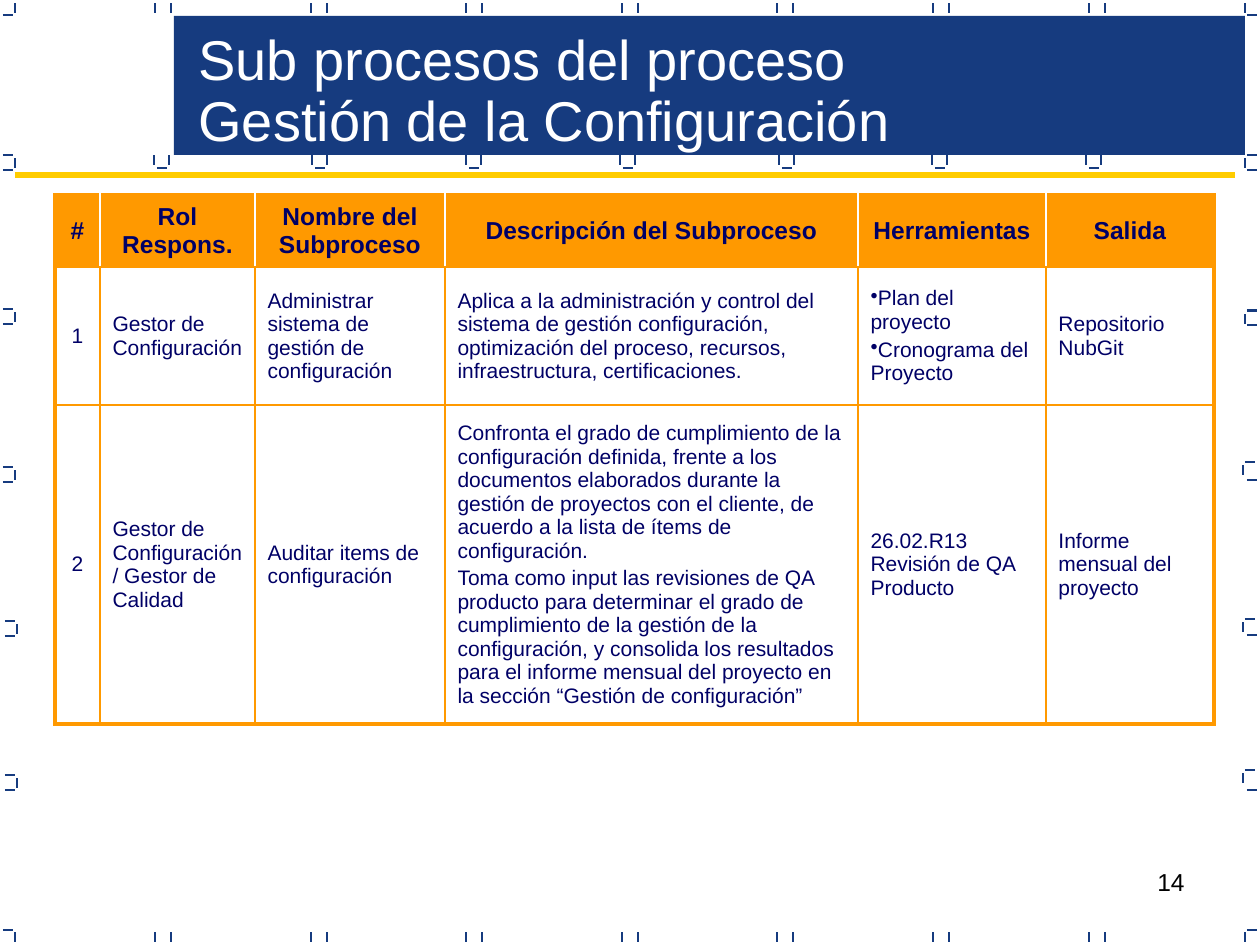
"""Builds the slide on the subprocesses of configuration management."""
from dataclasses import dataclass
from typing import Any

from lxml import etree
from pptx import Presentation
from pptx.dml.color import RGBColor
from pptx.enum.shapes import MSO_CONNECTOR, MSO_SHAPE
from pptx.enum.text import MSO_ANCHOR, PP_ALIGN
from pptx.oxml.ns import qn
from pptx.util import Pt

NAVY = RGBColor(0x16, 0x3B, 0x7F)
INK = RGBColor(0x00, 0x00, 0x66)
ORANGE = RGBColor(0xFF, 0x99, 0x00)
YELLOW = RGBColor(0xFF, 0xCC, 0x00)
WHITE = RGBColor(0xFF, 0xFF, 0xFF)
BLACK = RGBColor(0x00, 0x00, 0x00)
STRAIGHT, RECTANGLE = MSO_CONNECTOR.STRAIGHT, MSO_SHAPE.RECTANGLE
LEFT, CENTER, RIGHT = PP_ALIGN.LEFT, PP_ALIGN.CENTER, PP_ALIGN.RIGHT
TOP, MIDDLE = MSO_ANCHOR.TOP, MSO_ANCHOR.MIDDLE

PX_PER_INCH = 126
TICK = 10
GAP = 16
COLUMN_STARTS = [155 + round(155.6 * i) for i in range(7)]
CUP_STARTS = (154, 312, 466, 620, 779, 932, 1086)
RIGHT_BASES = (170, 310, 325, 480, 635, 790)
COLUMN_WIDTHS = (45, 155, 190, 413, 188, 168)
ROW_HEIGHTS = (72, 138, 299)
HEADERS = ("#", "Rol Respons.", "Nombre del Subproceso",
           "Descripción del Subproceso", "Herramientas", "Salida")


@dataclass(frozen=True)
class Bracket:
    """Edge mark with its top bar's left end and height."""
    x: int
    y: int


@dataclass(frozen=True)
class Subprocess:
    """One table row; each list item is a paragraph."""
    number: str
    role: str
    name: str
    description: list[str]
    tools: list[str]
    output: str
    bulleted: bool = False

    def cells(self) -> list[list[str]]:
        return [[self.number], [self.role], [self.name],
                self.description, self.tools, [self.output]]


LEFT_BRACKETS = [Bracket(3, 155), Bracket(3, 309), Bracket(3, 467),
                 Bracket(5, 621), Bracket(5, 775)]
RIGHT_BRACKETS = [Bracket(1247, 155), Bracket(1247, 311), Bracket(1245, 462),
                  Bracket(1245, 619), Bracket(1245, 770)]
SUBPROCESSES = [
    Subprocess(
        "1", "Gestor de Configuración",
        "Administrar sistema de gestión de configuración",
        ["Aplica a la administración y control del sistema de gestión "
         "configuración, optimización del proceso, recursos, "
         "infraestructura, certificaciones."],
        ["Plan del proyecto", "Cronograma del Proyecto"],
        "Repositorio NubGit", bulleted=True),
    Subprocess(
        "2", "Gestor de Configuración/ Gestor de Calidad",
        "Auditar items de configuración",
        ["Confronta el grado de cumplimiento de la configuración definida, "
         "frente a los documentos elaborados durante la gestión de proyectos "
         "con el cliente, de acuerdo a la lista de ítems de configuración.",
         "Toma como input las revisiones de QA producto para determinar el "
         "grado de cumplimiento de la gestión de la configuración, y "
         "consolida los resultados para el informe mensual del proyecto en "
         "la sección “Gestión de configuración”"],
        ["26.02.R13 Revisión de QA Producto"], "Informe mensual del proyecto"),
]


def px(n: int) -> int:
    return round(n * 914400 / PX_PER_INCH)


def add_line(s: Any, x1: int, y1: int, x2: int, y2: int,
             color: RGBColor = NAVY, width: float = 0.75) -> None:
    c = s.shapes.add_connector(STRAIGHT, px(x1), px(y1), px(x2), px(y2))
    c.line.color.rgb = color
    c.line.width = Pt(width)
    etree.SubElement(c._element.spPr, qn("a:effectLst"))


def add_bar(s: Any, x: int, y: int) -> None:
    add_line(s, x, y, x + TICK, y)


def add_post(s: Any, x: int, y: int) -> None:
    add_line(s, x, y + TICK, x, y)


def draw_marks(s: Any) -> None:
    for y in (3, 932):
        for x in COLUMN_STARTS:
            add_post(s, x, y)
            add_post(s, x + GAP, y)
        for x in (15, 1245):
            add_post(s, x, y)
    for y in (15, 930):
        for x in (3, 1247):
            add_bar(s, x, y)
    for b in LEFT_BRACKETS:
        add_bar(s, b.x, b.y)
        add_post(s, b.x + 12, b.y + 3)
        add_bar(s, b.x, b.y + 15)
    for b in RIGHT_BRACKETS:
        add_bar(s, b.x, b.y)
        add_post(s, b.x - 2, b.y + 3)
    for y in RIGHT_BASES:
        add_bar(s, 1247, y)
    for x in CUP_STARTS:
        add_post(s, x, 155)
        add_post(s, x + 15, 155)
        add_bar(s, x + 3, 168)


def write(tf: Any, lines: list[str], font: dict[str, Any], align: Any = LEFT,
          spacing: float = 1.0, gap: float = 0, bulleted: bool = False) -> None:
    for i, line in enumerate(lines):
        p = tf.paragraphs[0] if i == 0 else tf.add_paragraph()
        p.alignment = align
        p.line_spacing = spacing
        if i:
            p.space_before = Pt(gap)
        if bulleted:
            etree.SubElement(p._p.get_or_add_pPr(), qn("a:buChar"), char="•")
        r = p.add_run()
        r.text = line
        r.font.color.rgb = font["color"]
        for name in ("name", "size", "bold"):
            setattr(r.font, name, font[name])


def font_of(size: int, color: RGBColor, bold: bool = False) -> dict[str, Any]:
    return {"name": "Arial", "size": Pt(size), "bold": bold, "color": color}


def add_text(s: Any, box: tuple[int, int, int, int], lines: list[str],
             font: dict[str, Any], anchor: Any = TOP, align: Any = LEFT,
             spacing: float = 1.0) -> None:
    tf = s.shapes.add_textbox(*map(px, box)).text_frame
    tf.word_wrap = True
    tf.vertical_anchor = anchor
    write(tf, lines, font, align, spacing)


def set_border(cell: Any, side: str, color: RGBColor, width: float) -> None:
    ln = etree.SubElement(cell._tc.get_or_add_tcPr(), qn(f"a:ln{side}"),
                          w=str(Pt(width)))
    fill = etree.SubElement(ln, qn("a:solidFill"))
    etree.SubElement(fill, qn("a:srgbClr"), val=str(color))


def format_cell(cell: Any, row: int, col: int) -> None:
    last_row, last_col = len(ROW_HEIGHTS) - 1, len(COLUMN_WIDTHS) - 1
    inner = (WHITE, 1) if row == 0 else (ORANGE, 1.5)
    outer, rule = (ORANGE, 2.25), (ORANGE, 1.5)
    set_border(cell, "L", *(outer if col == 0 else inner))
    set_border(cell, "R", *(outer if col == last_col else inner))
    set_border(cell, "T", *(outer if row == 0 else rule))
    set_border(cell, "B", *(outer if row == last_row else rule))
    cell.vertical_anchor = MIDDLE
    if row == 0:
        cell.fill.solid()
        cell.fill.fore_color.rgb = ORANGE
    else:
        cell.fill.background()


def draw_table(s: Any) -> None:
    box = (55, 195, sum(COLUMN_WIDTHS), sum(ROW_HEIGHTS))
    table = s.shapes.add_table(len(ROW_HEIGHTS), len(COLUMN_WIDTHS), *map(px, box)).table
    table.first_row = table.horz_banding = False
    for column, width in zip(table.columns, COLUMN_WIDTHS):
        column.width = px(width)
    for row, height in zip(table.rows, ROW_HEIGHTS):
        row.height = px(height)
    rows = [[[h] for h in HEADERS]] + [sub.cells() for sub in SUBPROCESSES]
    for i, row in enumerate(rows):
        font = font_of(12 if i else 14, INK, bold=i == 0)
        for j, lines in enumerate(row):
            cell = table.cell(i, j)
            format_cell(cell, i, j)
            bulleted = i > 0 and j == 4 and SUBPROCESSES[i - 1].bulleted
            write(cell.text_frame, lines, font, LEFT if i and j else CENTER,
                  gap=2.4, bulleted=bulleted)


def main() -> None:
    prs = Presentation()
    prs.slide_width, prs.slide_height = px(1260), px(945)
    s = prs.slides.add_slide(prs.slide_layouts[6])
    add_text(s, (903, 861, 294, 66), ["14"], font_of(14, BLACK), align=RIGHT)
    draw_marks(s)
    band = s.shapes.add_shape(RECTANGLE, *map(px, (174, 16, 1071, 139)))
    band.shadow.inherit = False
    band.fill.solid()
    band.fill.fore_color.rgb = NAVY
    band.line.fill.background()
    draw_table(s)
    add_text(s, (186, 26, 1048, 134),
             ["Sub procesos del proceso", "Gestión de la Configuración"],
             font_of(32, WHITE), anchor=MIDDLE, spacing=0.9)
    add_line(s, 15, 175, 1235, 175, YELLOW, 3)
    prs.save("out.pptx")


if __name__ == "__main__":
    main()
